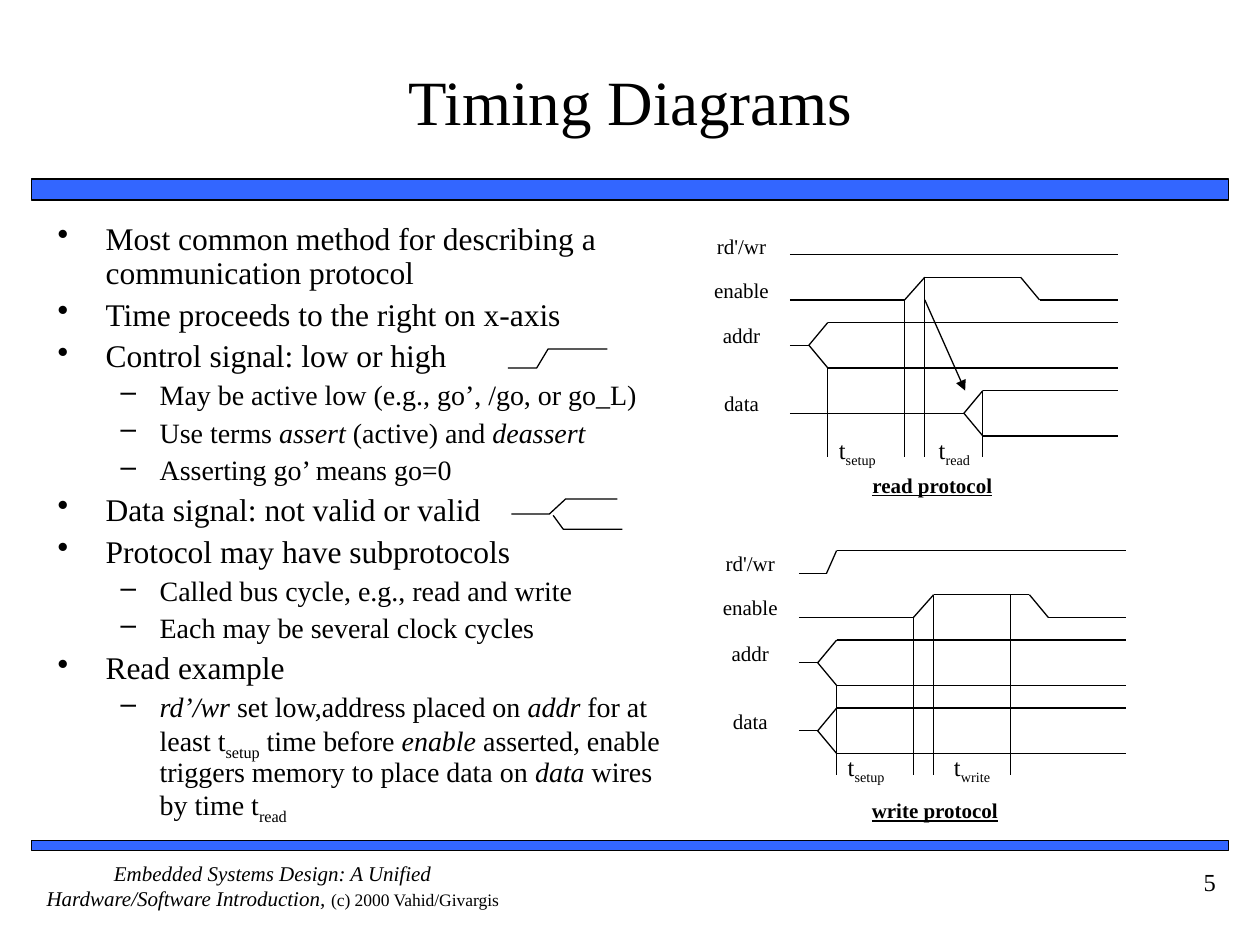
from itertools import pairwise

from lxml import etree
from pptx import Presentation
from pptx.dml.color import RGBColor
from pptx.enum.shapes import MSO_CONNECTOR, MSO_SHAPE
from pptx.enum.text import MSO_ANCHOR, MSO_AUTO_SIZE, PP_ALIGN
from pptx.oxml.ns import qn
from pptx.util import Inches, Pt

STRAIGHT = MSO_CONNECTOR.STRAIGHT
RECTANGLE = MSO_SHAPE.RECTANGLE
TOP, MIDDLE = MSO_ANCHOR.TOP, MSO_ANCHOR.MIDDLE
LEFT, CENTER, RIGHT = PP_ALIGN.LEFT, PP_ALIGN.CENTER, PP_ALIGN.RIGHT

FONT = "Times New Roman"
COLORS = {"ink": "000000", "bar": "3366FF"}

# Each bullet is a level and its runs; a run is plain text or (text, style).
BULLETS = [
    (0, ["Most common method for describing a communication protocol"]),
    (0, ["Time proceeds to the right on x-axis"]),
    (0, ["Control signal: low or high"]),
    (1, ["May be active low (e.g., go’, /go, or go_L)"]),
    (1, ["Use terms ", ("assert", "italic"), " (active) and ", ("deassert", "italic")]),
    (1, ["Asserting go’ means go=0"]),
    (0, ["Data signal: not valid or valid"]),
    (0, ["Protocol may have subprotocols"]),
    (1, ["Called bus cycle, e.g., read and write"]),
    (1, ["Each may be several clock cycles"]),
    (0, ["Read example"]),
    (1, [("rd’/wr", "italic"), " set low,address placed on ", ("addr", "italic"),
         " for at least t", ("setup", "subscript"), " time before ",
         ("enable", "italic"), " asserted, enable triggers memory to place data on ",
         ("data", "italic"), " wires by time t", ("read", "subscript")]),
]
# Bullet character, text size, space before, left margin and indent by level
BULLET_STYLES = [("•", 18, 4.5, 0.38, -0.38), ("–", 16, 4, 0.81, -0.31)]

# Diagram positions are inches from the top left of its signal labels.
SIGNAL_ROWS = {"rd'/wr": 0, "enable": 0.35, "addr": 0.71, "data": 1.25}
START, END = 0.77, 3.37
SLOPE, HALF_BUS = 0.15, 0.18
ADDRESS_VALID, ENABLE_RISE, ENABLE_HIGH, ENABLE_FALL = 1.07, 1.68, 1.84, 2.6
LOW, HIGH = 0.53, 0.35
MARK_END = 1.78


def color(name):
    return RGBColor.from_string(COLORS[name])


def write_runs(paragraph, runs, size, align=LEFT):
    paragraph.alignment = align
    for item in runs:
        text, style = (item, None) if isinstance(item, str) else item
        run = paragraph.add_run()
        run.text = text
        font = run.font
        font.name, font.size = FONT, Pt(size)
        font.color.rgb = color("ink")
        if style == "italic":
            font.italic = True
        elif style == "small":
            font.size = Pt(10)
        elif style == "caption":
            font.bold = font.underline = True
        elif style == "subscript":
            run._r.get_or_add_rPr().set("baseline", "-25000")


def set_frame(shape, insets=(0, 0), anchor=TOP):
    frame = shape.text_frame
    frame.word_wrap = True
    frame.auto_size = MSO_AUTO_SIZE.NONE
    frame.vertical_anchor = anchor
    frame.margin_left = frame.margin_right = Inches(insets[0])
    frame.margin_top = frame.margin_bottom = Inches(insets[1])
    return frame


def add_text(slide, box, runs, size, align=CENTER, insets=(0, 0)):
    shape = slide.shapes.add_textbox(*map(Inches, box))
    paragraph = set_frame(shape, insets).paragraphs[0]
    write_runs(paragraph, runs, size, align)
    return paragraph


def add_title(slide, text):
    title = slide.shapes.title
    title.left, title.top = Inches(0.42), Inches(0.17)
    title.width, title.height = Inches(9.17), Inches(1.25)
    frame = set_frame(title, (0, 0.05), MIDDLE)
    write_runs(frame.paragraphs[0], [text], 36, CENTER)


def add_bar(slide, top, height):
    bar = slide.shapes.add_shape(
        RECTANGLE, Inches(0.25), Inches(top), Inches(9.5), Inches(height))
    bar.shadow.inherit = False
    bar.fill.solid()
    bar.fill.fore_color.rgb = color("bar")
    bar.line.color.rgb = color("ink")
    bar.line.width = Pt(1)


def add_bullets(slide):
    box = slide.shapes.add_textbox(*map(Inches, (0.36, 1.72, 5.1, 4.86)))
    frame = set_frame(box, (0.1, 0.05))
    for index, (level, runs) in enumerate(BULLETS):
        paragraph = frame.add_paragraph() if index else frame.paragraphs[0]
        character, size, space, margin, indent = BULLET_STYLES[level]
        paragraph.level = level
        paragraph.line_spacing = 0.9
        paragraph.space_before = Pt(space)
        write_runs(paragraph, runs, size)
        properties = paragraph._p.get_or_add_pPr()
        properties.set("marL", str(Inches(margin)))
        properties.set("indent", str(Inches(indent)))
        etree.SubElement(properties, qn("a:buChar")).set("char", character)


def add_outline(slide, points):
    """Draw an open, unfilled path through points."""
    corners = [(Inches(x), Inches(y)) for x, y in points]
    builder = slide.shapes.build_freeform(*corners[0])
    builder.add_line_segments(corners[1:], close=False)
    shape = builder.convert_to_shape()
    shape.shadow.inherit = False
    shape.fill.background()
    shape.line.color.rgb = color("ink")
    shape.line.width = Pt(0.75)


def add_trace(slide, origin, points, arrow=False):
    """Join points, given from origin, with straight connectors."""
    corners = [(Inches(origin[0] + x), Inches(origin[1] + y)) for x, y in points]
    for begin, end in pairwise(corners):
        connector = slide.shapes.add_connector(STRAIGHT, *begin, *end)
        connector.line.color.rgb = color("ink")
        connector.line.width = Pt(0.75)
        if arrow:
            line = connector.line._get_or_add_ln()
            etree.SubElement(line, qn("a:tailEnd")).set("type", "triangle")
        etree.SubElement(connector._element.spPr, qn("a:effectLst"))


def add_bus(slide, origin, top, valid):
    """Draw a data signal that splits into two rails at valid."""
    middle, fork = top + HALF_BUS, valid - SLOPE
    add_trace(slide, origin, [(START, middle), (fork, middle), (valid, top), (END, top)])
    bottom = middle + HALF_BUS
    add_trace(slide, origin, [(fork, middle), (valid, bottom), (END, bottom)])


def add_diagram(slide, origin, name, control, data_valid, last_mark, time_left, caption):
    left, top = origin
    for label, row in SIGNAL_ROWS.items():
        add_text(slide, (left, top + row, 0.77, 0.36), [label], 12)
    add_trace(slide, origin, control)
    add_trace(slide, origin, [
        (START, LOW), (ENABLE_RISE, LOW), (ENABLE_HIGH, HIGH), (ENABLE_FALL, HIGH),
        (ENABLE_FALL + SLOPE, LOW), (END, LOW)])
    add_bus(slide, origin, SIGNAL_ROWS["addr"], ADDRESS_VALID)
    add_bus(slide, origin, SIGNAL_ROWS["data"], data_valid)
    marks = [(ADDRESS_VALID, 1.07), (ENABLE_RISE, LOW), (ENABLE_HIGH, HIGH), last_mark]
    for x, y in marks:
        add_trace(slide, origin, [(x, y), (x, MARK_END)])
    for x, time in [(0.92, "setup"), (time_left, name)]:
        add_text(slide, (left + x, top + 1.6, 0.77, 0.36), ["t", (time, "subscript")], 14)
    add_text(slide, (left + caption[0], top + caption[1], 1.56, 0.27),
             [(f"{name} protocol", "caption")], 12)


def main():
    presentation = Presentation()
    presentation.slide_width, presentation.slide_height = Inches(10), Inches(7.5)
    slide = presentation.slides.add_slide(presentation.slide_layouts[5])

    add_bar(slide, 1.42, 0.17)
    add_bar(slide, 6.67, 0.08)
    add_title(slide, "Timing Diagrams")
    add_text(slide, (0.25, 6.83, 3.83, 0.5), [
        ("Embedded Systems Design: A Unified Hardware/Software Introduction, ", "italic"),
        ("(c) 2000 Vahid/Givargis", "small")], 12)
    number = add_text(slide, (8.75, 6.83, 1, 0.5), ["5"], 14, RIGHT, (0.1, 0.05))
    number.space_before = Pt(8.8)
    add_bullets(slide)

    add_outline(slide, [(4.03, 2.92), (4.26, 2.92), (4.35, 2.77), (4.82, 2.77)])
    add_outline(slide, [(4.06, 4.08), (4.36, 4.08), (4.49, 3.96), (4.9, 3.96)])
    add_outline(slide, [(4.39, 4.09), (4.47, 4.2), (4.94, 4.2)])

    read_origin = (5.5, 1.85)
    add_diagram(slide, read_origin, "read", [(START, 0.17), (END, 0.17)],
                2.3, (2.3, 1.25), 1.69, (1.12, 1.9))
    add_trace(slide, read_origin, [(ENABLE_HIGH, LOW), (2.16, 1.25)], arrow=True)
    add_diagram(slide, (5.57, 4.37), "write",
                [(START, 0.18), (0.99, 0.18), (ADDRESS_VALID, 0), (END, 0)],
                ADDRESS_VALID, (2.45, HIGH), 1.76, (1.07, 1.96))
    presentation.save("out.pptx")


if __name__ == "__main__":
    main()
